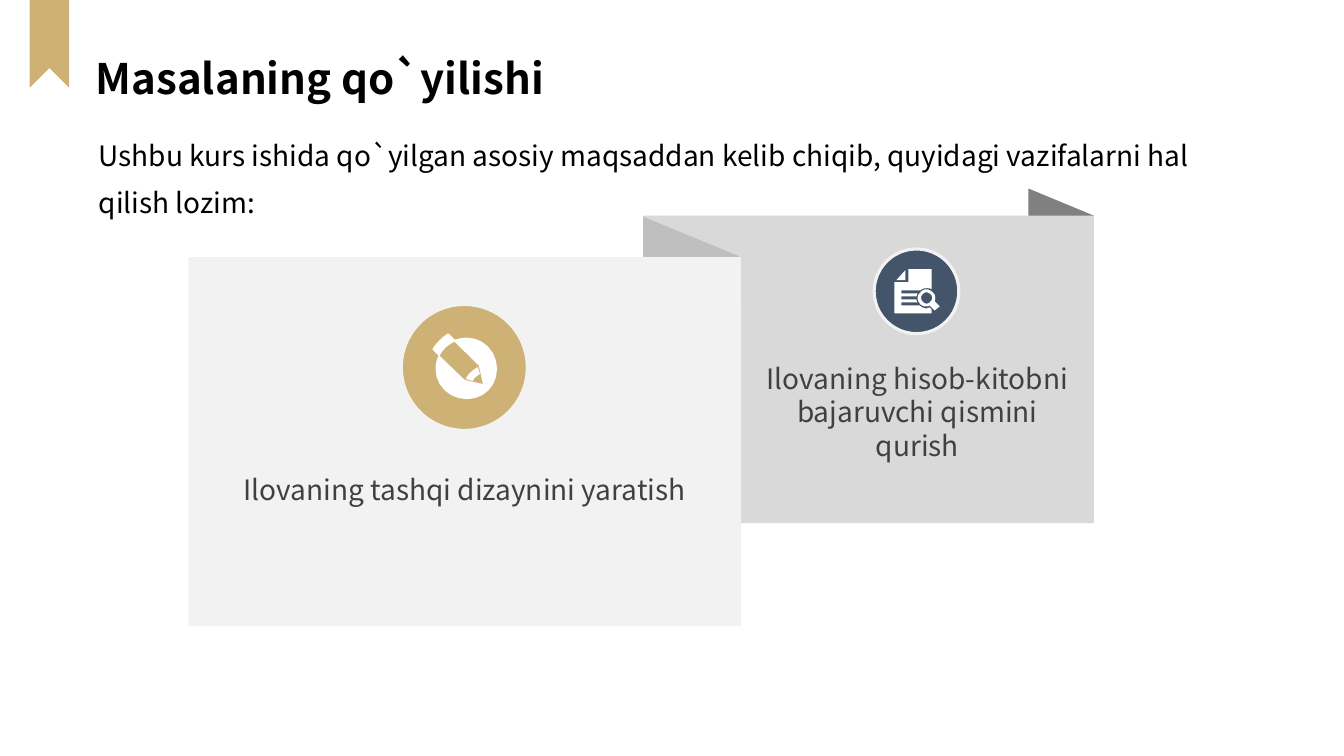
from pptx import Presentation
from pptx.util import Inches, Pt
from pptx.dml.color import RGBColor
from pptx.enum.shapes import MSO_SHAPE
from pptx.enum.text import MSO_ANCHOR, MSO_AUTO_SIZE, PP_ALIGN

COLS, ROWS = 1333, 750
CELL = Inches(0.01)
STEPS = 6
FONT = "Noto Sans CJK SC"
HUE = {
    "gold": "CDB175", "navy": "44546A", "white": "FFFFFF", "black": "000000",
    "text": "404040", "pale": "F2F2F2", "light": "D9D9D9",
    "fold": "BFBFBF", "dark": "808080",
}
PENCIL = [
    "M 474 364 L 476 371 C 473 373 470 375 469 378 L 462 376 C 464 371 469 367 474 364",
    "M 451 339 C 444 342 439 347 436 353 L 461 377 L 470 379 L 479 381 L 477 372 L 475 363",
    "M 444 331 L 445 331 L 451 337 C 455 336 459 335 463 335 C 480 335 493 349 493 366 "
    "C 493 383 480 396 463 396 C 446 396 432 383 432 366 C 432 361 433 357 435 353 "
    "L 429 347 L 429 346 C 433 340 438 335 444 331",
]
REPORT = [
    "M 919 290 C 917 290 916 291 915 292 C 913 294 913 297 915 299 "
    "C 917 302 921 302 923 299 C 925 297 925 294 923 292 C 922 291 920 290 919 290",
    "M 919 287 C 921 287 923 288 925 290 C 928 292 928 296 927 299 L 932 304 L 927 308 "
    "L 922 303 C 919 305 915 304 913 302 C 909 298 909 293 913 290 C 914 288 917 287 919 287",
    "M 898 268 L 898 278 L 889 278",
    "M 901 267 L 924 267 L 924 287 C 923 286 921 286 919 286 C 917 286 915 286 913 288 "
    "L 894 288 L 894 291 L 910 291 C 910 292 909 293 909 294 L 894 294 L 894 297 L 909 297 "
    "C 909 298 909 299 910 300 L 894 300 L 894 303 L 912 303 C 914 305 917 306 919 306 "
    "C 920 306 921 305 922 305 L 924 307 L 924 311 L 887 311 L 887 280 L 901 280",
]


def grid(*cells):
    return [round(n * CELL) for n in cells]


def rgb(hue):
    return RGBColor.from_string(HUE[hue])


def paint(shape, fill, edge=None):
    shape.shadow.inherit = False
    shape.fill.solid()
    shape.fill.fore_color.rgb = rgb(fill)
    if edge:
        shape.line.color.rgb = rgb(edge)
        shape.line.width = Pt(2.25)
    else:
        shape.line.fill.background()


def block(slide, kind, box, fill, edge=None):
    shape = slide.shapes.add_shape(kind, *grid(*box))
    paint(shape, fill, edge)
    return shape


def bend(ends):
    for step in range(1, STEPS + 1):
        t = step / STEPS
        parts = ((1 - t) ** 3, 3 * t * (1 - t) ** 2, 3 * t * t * (1 - t), t ** 3)
        yield tuple(sum(k * p[axis] for k, p in zip(parts, ends)) for axis in (0, 1))


def trace(line):
    words = line.split()
    dots, at = [], 0
    while at < len(words):
        count = 3 if words[at] == "C" else 1
        nums = [int(n) for n in words[at + 1:at + 1 + 2 * count]]
        ends = list(zip(nums[::2], nums[1::2]))
        dots += bend([dots[-1]] + ends) if count == 3 else ends
        at += 1 + 2 * count
    return dots


def form(slide, lines, fill):
    loops = [[grid(*dot) for dot in trace(line)] for line in lines]
    pen = slide.shapes.build_freeform(*loops[0][0])
    for loop in loops:
        if loop is not loops[0]:
            pen.move_to(*loop[0])
        pen.add_line_segments(loop[1:], close=True)
    paint(pen.convert_to_shape(), fill)


def flap(slide, left, top, right, edge, base, fill):
    form(slide, [f"M {right} {edge} L {left} {top} L {left} {base} L {right} {base}"], fill)


def write(shape, text, size, hue, align, anchor, space=1.0, bold=False):
    frame = shape.text_frame
    frame.word_wrap = True
    frame.auto_size = MSO_AUTO_SIZE.NONE
    frame.vertical_anchor = anchor
    frame.text = text
    para = frame.paragraphs[0]
    para.alignment = align
    para.line_spacing = space
    font = para.runs[0].font
    font.name, font.size, font.bold = FONT, Pt(size), bold
    font.color.rgb = rgb(hue)


def label(slide, box, text, hue, align, anchor, space=1.0):
    shape = slide.shapes.add_textbox(*grid(*box))
    write(shape, text, 20, hue, align, anchor, space)


def badge(slide, left, top, size, fill, icon):
    block(slide, MSO_SHAPE.OVAL, (left, top, size, size), fill, "pale")
    form(slide, icon, "white")


def head(slide, text):
    ribbon = block(slide, MSO_SHAPE.NOTCHED_RIGHT_ARROW, (-34, -35, 166, 78), "gold")
    ribbon.rotation = 270
    title = slide.shapes.title
    title.left, title.top, title.width, title.height = grid(35, 22, 570, 86)
    write(title, text, 30, "black", PP_ALIGN.LEFT, MSO_ANCHOR.TOP, 1.5, True)
    title.text_frame.margin_left = 60 * CELL


def main():
    deck = Presentation()
    deck.slide_width, deck.slide_height = grid(COLS, ROWS)
    slide = deck.slides.add_slide(deck.slide_layouts[5])
    mid = (PP_ALIGN.CENTER, MSO_ANCHOR.MIDDLE)

    flap(slide, 1020, 187, 1085, 214, 249, "dark")
    block(slide, MSO_SHAPE.RECTANGLE, (638, 214, 447, 305), "light")
    flap(slide, 638, 215, 735, 255, 307, "fold")
    block(slide, MSO_SHAPE.RECTANGLE, (187, 255, 548, 366), "pale")
    badge(slide, 398, 302, 125, "gold", PENCIL)
    label(slide, (187, 461, 548, 48), "Ilovaning tashqi dizaynini yaratish", "text", *mid)
    label(slide, (747, 343, 326, 131),
          "Ilovaning hisob-kitobni bajaruvchi qismini qurish", "text", *mid)
    badge(slide, 867, 247, 84, "navy", REPORT)
    head(slide, "Masalaning qo`yilishi")
    label(slide, (88, 113, 1149, 109),
          "Ushbu kurs ishida qo`yilgan asosiy maqsaddan kelib chiqib, "
          "quyidagi vazifalarni hal qilish lozim:",
          "black", PP_ALIGN.LEFT, MSO_ANCHOR.BOTTOM, 1.4)
    deck.save("out.pptx")


if __name__ == "__main__":
    main()
